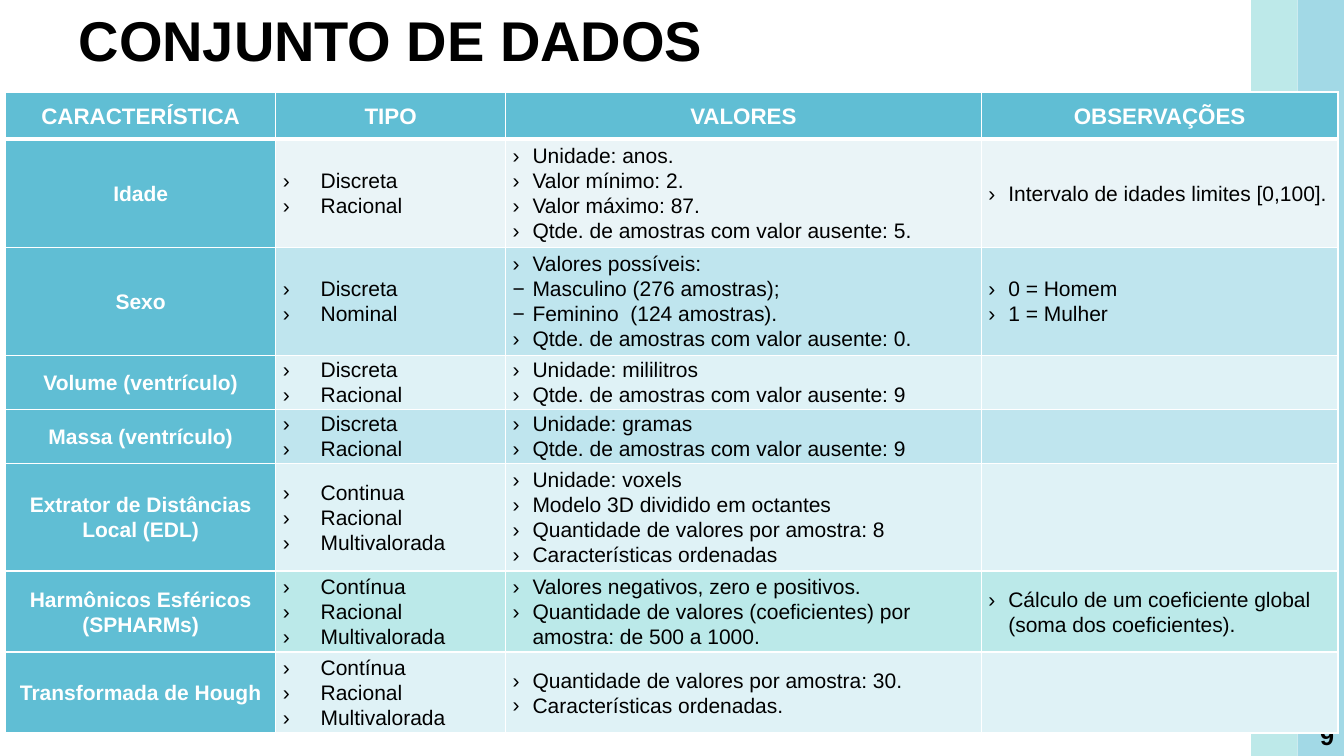
from dataclasses import dataclass

from lxml import etree
from pptx import Presentation
from pptx import util as u
from pptx.dml.color import RGBColor
from pptx.enum import shapes, text
from pptx.oxml import ns


@dataclass(frozen=True)
class Theme:
    font: str = "Arial"
    ink: str = "000000"
    paper: str = "FFFFFF"
    blue: str = "60BED4"
    teal: str = "8EDADA"
    frost: str = "EAF4F7"
    pale: str = "DFF2F6"
    sky: str = "BFE5EE"
    mint: str = "BBE9E9"
    title_size: int = 40
    number_size: int = 18
    header_size: int = 16
    cell_size: int = 15


def set_all(target, values):
    for key, value in values.items():
        setattr(target, key, value)


def add_xml(parent, tag, **attributes):
    return etree.SubElement(parent, ns.qn(tag), attributes)


class SlideBuilder:
    def __init__(self, deck, theme):
        self.theme = theme
        self.slide = deck.slides.add_slide(deck.slide_layouts[5])

    def add_wording(self, paragraph, wording, size, color, bold, **layout):
        set_all(paragraph, layout)
        run = paragraph.add_run()
        run.text = wording
        set_all(run.font, {"name": self.theme.font, "size": u.Pt(size), "bold": bold})
        run.font.color.rgb = RGBColor.from_string(color)

    def band(self, left, color, opacity):
        stripe = self.slide.shapes.add_shape(
            shapes.MSO_SHAPE.RECTANGLE, u.Cm(left), 0, u.Cm(1.17), u.Cm(19.05))
        stripe.shadow.inherit = False
        stripe.line.fill.background()
        stripe.fill.solid()
        stripe.fill.fore_color.rgb = RGBColor.from_string(color)
        tint = stripe._element.spPr.find(".//" + ns.qn("a:srgbClr"))
        add_xml(tint, "a:alpha", val=str(opacity * 1000))

    def title(self, wording):
        heading = self.slide.shapes.title
        set_all(heading, {"left": u.Cm(1.73), "top": u.Cm(0.28),
                          "width": u.Cm(32.13), "height": u.Cm(1.63)})
        set_all(heading.text_frame, {"vertical_anchor": text.MSO_ANCHOR.MIDDLE,
                                     "auto_size": text.MSO_AUTO_SIZE.NONE})
        self.add_wording(heading.text_frame.paragraphs[0], wording, self.theme.title_size,
                         self.theme.ink, True, alignment=text.PP_ALIGN.LEFT,
                         line_spacing=0.9)

    def page_number(self, wording):
        corner = self.slide.shapes.add_textbox(u.Cm(31.87), u.Cm(18.03), u.Cm(2), u.Cm(1.02))
        set_all(corner.text_frame, {"word_wrap": True,
                                    "vertical_anchor": text.MSO_ANCHOR.MIDDLE})
        self.add_wording(corner.text_frame.paragraphs[0], wording, self.theme.number_size,
                         self.theme.ink, True, alignment=text.PP_ALIGN.RIGHT)

    def cell(self, cell, fill, row):
        set_all(cell, {"margin_left": u.Cm(0.18), "margin_right": u.Cm(0.18),
                       "margin_top": 0, "margin_bottom": 0,
                       "vertical_anchor": text.MSO_ANCHOR.MIDDLE})
        heavy = {0: "a:lnB", 1: "a:lnT"}.get(row)
        for side in ("a:lnL", "a:lnR", "a:lnT", "a:lnB"):
            border = add_xml(cell._tc.get_or_add_tcPr(), side,
                             w=str(u.Pt(3 if side == heavy else 1)))
            add_xml(add_xml(border, "a:solidFill"), "a:srgbClr", val=self.theme.paper)
        cell.fill.solid()
        cell.fill.fore_color.rgb = RGBColor.from_string(fill)

    def label(self, cell, wording, size, row):
        self.cell(cell, self.theme.blue, row)
        self.add_wording(cell.text_frame.paragraphs[0], wording, size, self.theme.paper,
                         True, alignment=text.PP_ALIGN.CENTER, line_spacing=1.07)

    def bullets(self, cell, items, indent, fill, row):
        self.cell(cell, fill, row)
        frame = cell.text_frame
        for index, item in enumerate(items):
            paragraph = frame.add_paragraph() if index else frame.paragraphs[0]
            nested = item.startswith("− ")
            self.add_wording(paragraph, item.removeprefix("− "), self.theme.cell_size,
                             self.theme.ink, False, line_spacing=1.07, level=int(nested))
            properties = paragraph._p.get_or_add_pPr()
            properties.set("marL", str(u.Cm(indent)))
            properties.set("indent", str(-u.Cm(indent)))
            add_xml(properties, "a:buFont", typeface=self.theme.font)
            add_xml(properties, "a:buChar", char="−" if nested else "›")

    def feature_table(self, headings, features):
        widths = (6.81, 5.79, 11.99, 8.99)
        table = self.slide.shapes.add_table(
            len(features) + 1, len(headings), u.Cm(0.14), u.Cm(2.32),
            u.Cm(sum(widths)), u.Cm(16.15)).table
        for column, width in zip(table.columns, widths):
            column.width = u.Cm(width)
        table.rows[0].height = u.Cm(1.19)
        for column, heading in enumerate(headings):
            self.label(table.cell(0, column), heading, self.theme.header_size, 0)
        for row, (feature, fill, *lists) in enumerate(features, 1):
            table.rows[row].height = u.Cm(0.68 * max(map(len, lists)))
            self.label(table.cell(row, 0), feature, self.theme.cell_size, row)
            for column, items in enumerate(lists, 1):
                indent = 0.95 if column == 1 else 0.5
                self.bullets(table.cell(row, column), items, indent, fill, row)


def main():
    theme = Theme()
    deck = Presentation()
    set_all(deck, {"slide_width": u.Cm(33.87), "slide_height": u.Cm(19.05)})
    builder = SlideBuilder(deck, theme)
    for left, color in ((32.7, theme.blue), (31.53, theme.teal)):
        builder.band(left, color, 58)
    builder.page_number("9")
    builder.title("CONJUNTO DE DADOS")

    headings = ("CARACTERÍSTICA", "TIPO", "VALORES", "OBSERVAÇÕES")
    features = (
        ("Idade", theme.frost, ("Discreta", "Racional"),
         ("Unidade: anos.", "Valor mínimo: 2.", "Valor máximo: 87.",
          "Qtde. de amostras com valor ausente: 5."),
         ("Intervalo de idades limites [0,100].",)),
        ("Sexo", theme.sky, ("Discreta", "Nominal"),
         ("Valores possíveis:", "− Masculino (276 amostras);",
          "− Feminino  (124 amostras).", "Qtde. de amostras com valor ausente: 0."),
         ("0 = Homem", "1 = Mulher")),
        ("Volume (ventrículo)", theme.pale, ("Discreta", "Racional"),
         ("Unidade: mililitros", "Qtde. de amostras com valor ausente: 9"), ()),
        ("Massa (ventrículo)", theme.sky, ("Discreta", "Racional"),
         ("Unidade: gramas", "Qtde. de amostras com valor ausente: 9"), ()),
        ("Extrator de Distâncias Local (EDL)", theme.pale,
         ("Continua", "Racional", "Multivalorada"),
         ("Unidade: voxels", "Modelo 3D dividido em octantes",
          "Quantidade de valores por amostra: 8", "Características ordenadas"), ()),
        ("Harmônicos Esféricos (SPHARMs)", theme.mint,
         ("Contínua", "Racional", "Multivalorada"),
         ("Valores negativos, zero e positivos.",
          "Quantidade de valores (coeficientes) por amostra: de 500 a 1000."),
         ("Cálculo de um coeficiente global (soma dos coeficientes).",)),
        ("Transformada de Hough", theme.pale, ("Contínua", "Racional", "Multivalorada"),
         ("Quantidade de valores por amostra: 30.", "Características ordenadas."), ()),
    )
    builder.feature_table(headings, features)
    deck.save("out.pptx")


if __name__ == "__main__":
    main()
